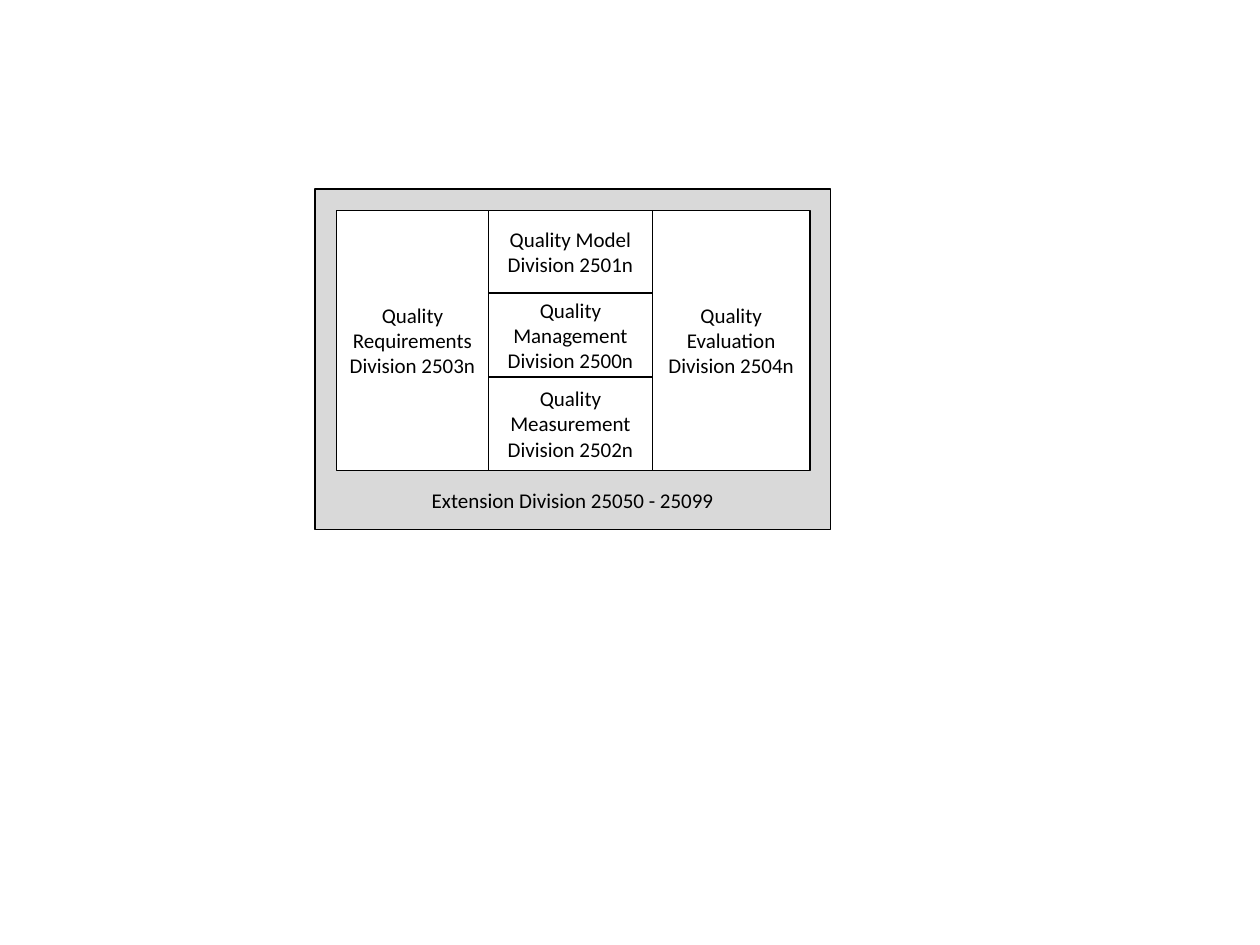
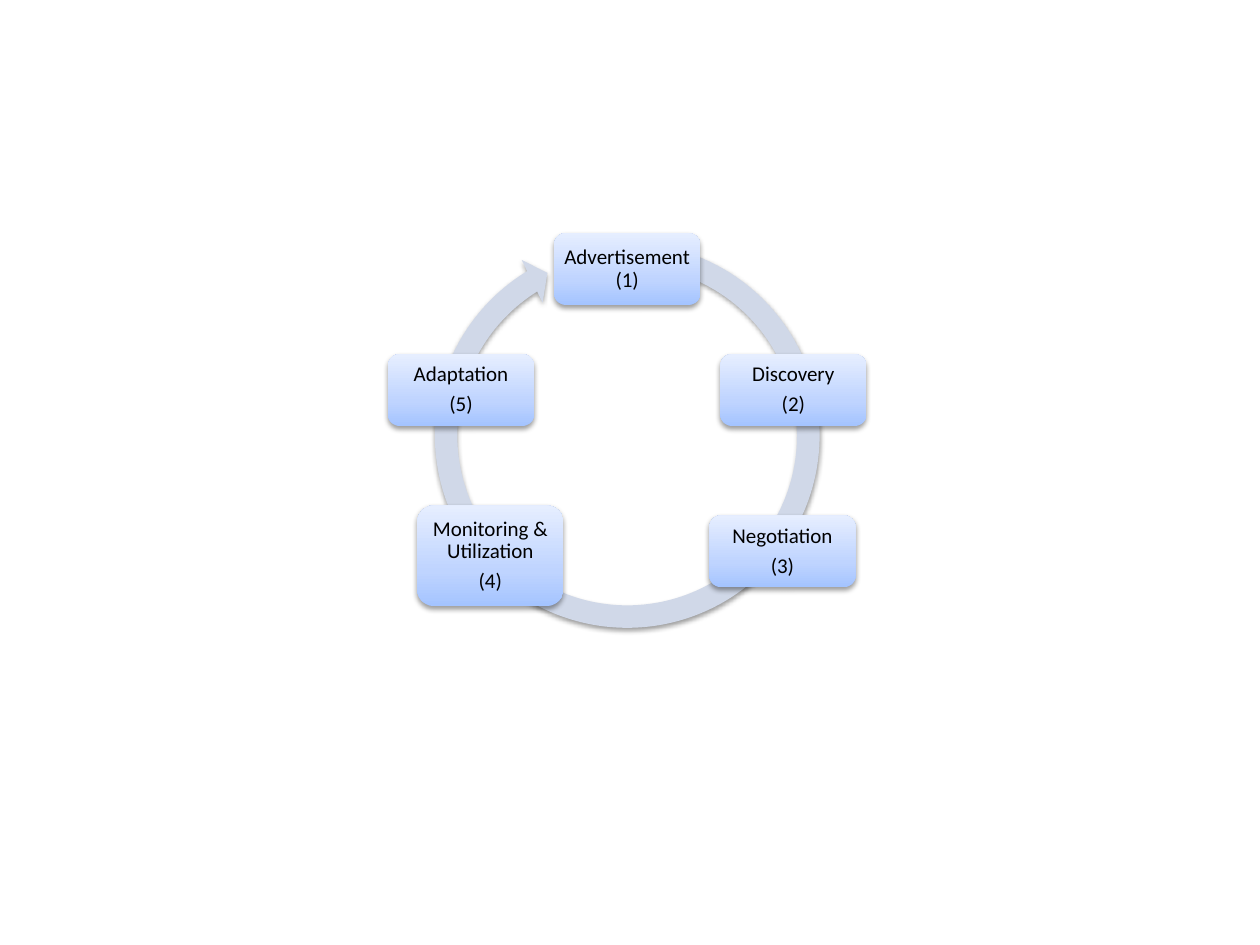
from itertools import accumulate

from lxml.etree import SubElement
from pptx import Presentation
from pptx.dml.color import RGBColor
from pptx.enum.shapes import MSO_SHAPE as Shape
from pptx.enum.text import MSO_ANCHOR as Anchor, PP_ALIGN as Align
from pptx.oxml.ns import qn
from pptx.util import Cm, Pt

COLOURS = {
    "ink": "000000",
    "paper": "FFFFFF",
    "frame": "D9D9D9",
    "ring": "D0D8E8",
    "node_bottom": "A4C4FF",
    "node_middle": "BFD4FF",
    "node_top": "E6EEFF",
}
FONT = "Calibri"
NODE_STOPS = [(0, "node_bottom"), (35, "node_middle"), (100, "node_top")]
RING_PERCENTAGES = [5.5, 330.7, 14301, 17074, 5.8]
MIDDLE_ROWS = [
    (1.67, "Quality Model Division 2501n"),
    (1.69, "Quality Management Division 2500n"),
    (1.88, "Quality Measurement Division 2502n"),
]
STEPS = [
    (3.35, 0.05, 1.45, ["Advertisement (1)"]),
    (6.7, 2.49, 1.45, ["Discovery", "(2)"]),
    (6.48, 5.74, 1.45, ["Negotiation", "(3)"]),
    (0.59, 5.54, 2.03, ["Monitoring & Utilization", "(4)"]),
    (0, 2.49, 1.45, ["Adaptation", "(5)"]),
]


def colour(name):
    """Return the named palette colour."""
    return RGBColor.from_string(COLOURS[name])


def add_block(shapes, kind, left, top, width, height, fill=None):
    """Add a borderless preset shape, measured in centimetres, without a shadow."""
    shape = shapes.add_shape(kind, Cm(left), Cm(top), Cm(width), Cm(height))
    shape.shadow.inherit = False
    shape.line.fill.background()
    if fill:
        shape.fill.solid()
        shape.fill.fore_color.rgb = colour(fill)
    return shape


def write(shape, lines, anchor=Anchor.MIDDLE):
    """Write centred paragraphs and return them."""
    frame = shape.text_frame
    frame.word_wrap = True
    frame.vertical_anchor = anchor
    frame.text = "\n".join(lines)
    for paragraph in frame.paragraphs:
        paragraph.alignment = Align.CENTER
        paragraph.font.name = FONT
        paragraph.font.size = Pt(12)
        paragraph.font.color.rgb = colour("ink")
    return frame.paragraphs


def add_soft_shadow(shape):
    """Give the shape a soft shadow that falls straight down."""
    effects = shape._element.spPr.find(qn("a:effectLst"))
    shadow = SubElement(effects, qn("a:outerShdw"), blurRad=str(Pt(3.1)),
                        dist=str(Pt(1.6)), dir="5400000", rotWithShape="0")
    tint = SubElement(shadow, qn("a:srgbClr"), val=COLOURS["ink"])
    SubElement(tint, qn("a:alpha"), val="38000")


def fill_with_gradient(shape):
    """Fill the shape with the node gradient, running upwards."""
    shape.fill.gradient()
    shape.fill.gradient_angle = 90
    stops = shape._element.spPr.find(qn("a:gradFill")).find(qn("a:gsLst"))
    for stop in list(stops):
        stops.remove(stop)
    for percent, name in NODE_STOPS:
        stop = SubElement(stops, qn("a:gs"), pos=str(percent * 1000))
        SubElement(stop, qn("a:srgbClr"), val=COLOURS[name])


def add_outlined(shapes, left, top, width, height, fill="paper"):
    """Add a rectangle with a thin outline."""
    shape = add_block(shapes, Shape.RECTANGLE, left, top, width, height, fill)
    shape.line.color.rgb = colour("ink")
    shape.line.width = Pt(0.75)
    return shape


def build_divisions(slide, left, top, width, height):
    """Draw the quality divisions inside the extension frame."""
    shapes = slide.shapes.add_group_shape().shapes
    add_outlined(shapes, left, top, width, height, "frame")

    margin = 0.43
    widths = [3.07, 3.3, 3.18]
    inner_top = top + margin
    requirements, middle, evaluation = accumulate(widths[:-1], initial=left + margin)
    row_heights = [row_height for row_height, _ in MIDDLE_ROWS]
    row_tops = accumulate(row_heights, initial=inner_top)
    for row_top, (row_height, text) in zip(row_tops, MIDDLE_ROWS):
        write(add_outlined(shapes, middle, row_top, widths[1], row_height), [text])
    for side, side_width, text in [
        (requirements, widths[0], "Quality Requirements Division 2503n"),
        (evaluation, widths[2], "Quality Evaluation Division 2504n"),
    ]:
        write(add_outlined(shapes, side, inner_top, side_width, sum(row_heights)), [text])

    label_width = 7.14
    label = shapes.add_textbox(Cm(left + (width - label_width) / 2), Cm(top + 5.89),
                               Cm(label_width), Cm(0.76))
    write(label, ["Extension Division 25050 - 25099"], Anchor.TOP)


def build_cycle(slide, left, top, width, height):
    """Draw the five steps around a circular arrow."""
    shapes = slide.shapes.add_group_shape().shapes
    ring = add_block(shapes, Shape.CIRCULAR_ARROW, left + (width - height) / 2, top,
                     height, height, "ring")
    for index, percentage in enumerate(RING_PERCENTAGES):
        ring.adjustments[index] = percentage / 100
    add_soft_shadow(ring)

    for across, down, node_height, lines in STEPS:
        node = add_block(shapes, Shape.ROUNDED_RECTANGLE, left + across, top + down,
                         2.95, node_height)
        fill_with_gradient(node)
        add_soft_shadow(node)
        frame = node.text_frame
        frame.margin_left = frame.margin_right = Cm(0.12)
        frame.margin_top = frame.margin_bottom = Cm(0.12)
        for paragraph in write(node, lines):
            paragraph.line_spacing = 0.9
            paragraph.space_after = Pt(4.2)


def main():
    """Build and save the presentation."""
    presentation = Presentation()
    presentation.slide_width = Cm(25.4)
    presentation.slide_height = Cm(19.05)
    blank = presentation.slide_layouts[6]
    build_divisions(presentation.slides.add_slide(blank), 6.35, 3.81, 10.39, 6.86)
    build_cycle(presentation.slides.add_slide(blank), 7.82, 4.65, 9.65, 8.26)
    presentation.save("out.pptx")


if __name__ == "__main__":
    main()
